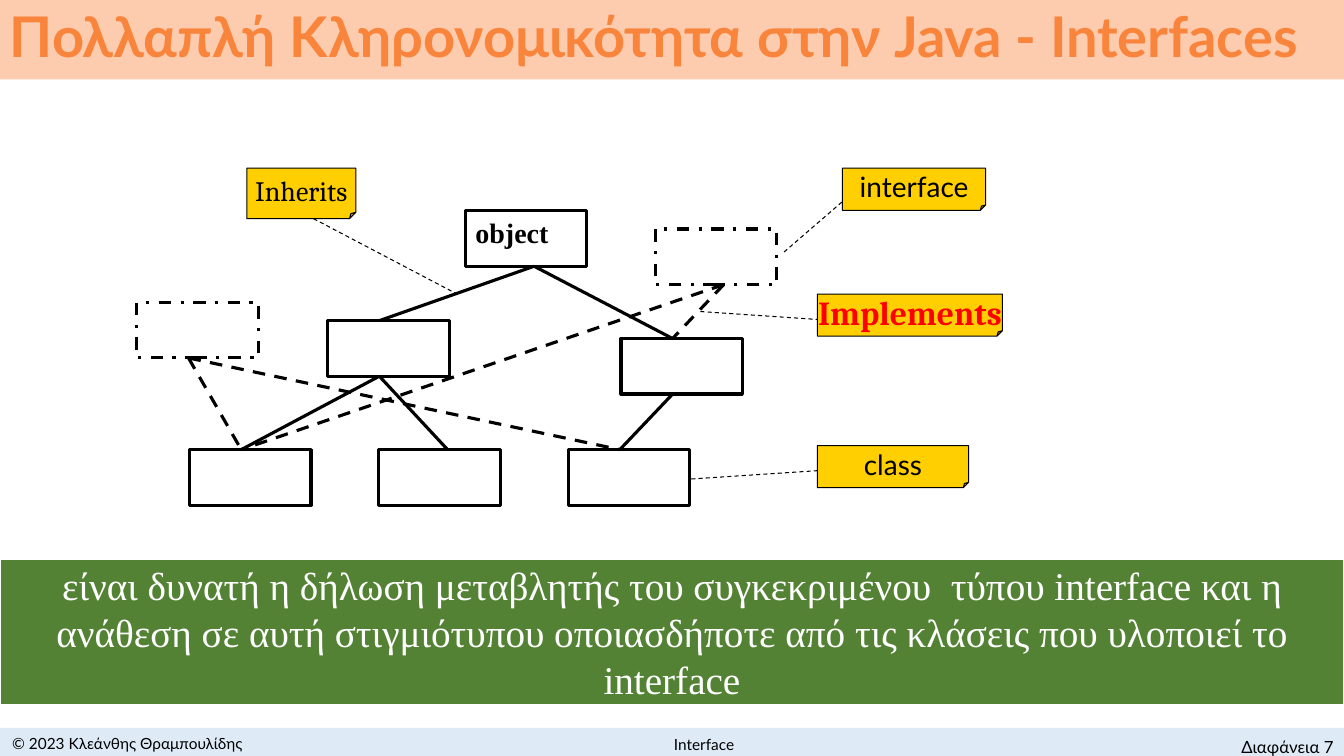
from lxml import etree
from pptx import Presentation, util as u
from pptx.dml.color import RGBColor
from pptx.enum import dml, shapes, text
from pptx.oxml.ns import qn

HUES = {"black": "000000", "white": "FFFFFF", "peach": "FDCBAD",
        "orange": "F9853D", "pale": "DEEBF7", "gold": "FFCF01",
        "red": "FF0000", "green": "548235"}
DASH = dml.MSO_LINE.DASH
DOTS = dml.MSO_LINE.DASH_DOT
RECT = shapes.MSO_SHAPE.RECTANGLE
NOTE = shapes.MSO_SHAPE.FOLDED_CORNER
LEFT, MID, RIGHT = (text.PP_ALIGN.LEFT, text.PP_ALIGN.CENTER,
                    text.PP_ALIGN.RIGHT)
BODY = {"name": "Lato", "size": u.Pt(20), "bold": False}

# Class tree: left, top and the offset where links meet the box, in cm
WIDE, HIGH = 3.06, 1.4
NEAR, FAR = 1.3, 1.73
ROW = 11.33
BOXES = {"object": (11.73, 5.31, FAR),
         "left": (8.26, 8.08, NEAR),
         "right": (15.65, 8.53, NEAR)}
LEAVES = ("leaf1", "leaf2", "leaf3")
PORTS = (NEAR, FAR, NEAR)
for step, (leaf, port) in enumerate(zip(LEAVES, PORTS)):
    BOXES[leaf] = (4.78 + 4.77 * step, ROW, port)
FACES = {"face1": (3.45, 7.62, NEAR), "face2": (16.51, 5.77, FAR)}
NODES = {**BOXES, **FACES}

# Parent above, child below
EXTENDS = [("object", "left"), ("object", "right"), ("left", "leaf2"),
           ("left", "leaf1"), ("right", "leaf3")]
FULFILS = [("face1", "leaf1"), ("face1", "leaf3"), ("face2", "leaf1"),
           ("face2", "right")]

# Label, place, font changes, hue, pointer ends
NOTES = [
    ("interface", (21.23, 4.24, 3.61, 1.06), {}, "black",
     (19.76, 6.35, 21.23, 5.08)),
    ("class", (20.6, 11.23, 3.81, 1.06), {}, "black",
     (17.42, 12.07, 20.6, 11.86)),
    ("Inherits", (6.22, 4.24, 2.75, 1.27), {"name": "Cambria"}, "black",
     (7.9, 5.51, 11.5, 7.4)),
    ("Implements", (20.6, 7.41, 4.66, 1.06),
     {"name": "Cambria", "size": u.Pt(24), "bold": True}, "red",
     (17.65, 7.85, 20.6, 8.05)),
]


def hue(name):
    return RGBColor.from_string(HUES[name])


def span(place):
    return [u.Cm(x) for x in place]


def ink(line, name, width, dash=None):
    line.color.rgb = hue(name)
    line.width = u.Pt(width)
    if dash:
        line.dash_style = dash


def block(home, place, fill, edge=None, kind=RECT):
    """Filled shape; edge is (hue, width, dash)."""
    shape = home.add_shape(kind, *span(place))
    shape.shadow.inherit = False
    shape.fill.solid()
    shape.fill.fore_color.rgb = hue(fill)
    if edge:
        ink(shape.line, *edge)
    else:
        shape.line.fill.background()
    return shape


def write(shape, words, font=None, tint="black", align=MID,
          anchor=text.MSO_ANCHOR.MIDDLE, wrap=True, lead=None):
    frame = shape.text_frame
    frame.word_wrap = wrap
    frame.vertical_anchor = anchor
    para = frame.paragraphs[0]
    para.alignment = align
    if lead:
        para.line_spacing = lead
    run = para.add_run()
    run.text = words
    for key, value in {**BODY, **(font or {})}.items():
        setattr(run.font, key, value)
    run.font.color.rgb = hue(tint)


def link(home, ends, width, dash=None):
    line = home.add_connector(shapes.MSO_CONNECTOR.STRAIGHT, *span(ends))
    ink(line.line, "black", width, dash)
    etree.SubElement(line._element.spPr, qn("a:effectLst"))


def tree(home):
    for name, (x, y, port) in NODES.items():
        dash = DOTS if name in FACES else None
        box = block(home, (x, y, WIDE, HIGH), "white", ("black", 2.25, dash))
        if name == "object":
            write(box, name, {"name": "Times New Roman", "bold": True},
                  align=LEFT, anchor=text.MSO_ANCHOR.TOP)
    for pairs, dash in ((EXTENDS, None), (FULFILS, DASH)):
        for above, below in pairs:
            x1, y1, port1 = NODES[above]
            x2, y2, port2 = NODES[below]
            link(home, (x1 + port1, y1 + HIGH, x2 + port2, y2), 2.25, dash)


def fold(card):
    """Set the size of the folded corner."""
    guides = card._element.spPr.find(qn("a:prstGeom")).get_or_add_avLst()
    for old in list(guides):
        guides.remove(old)
    etree.SubElement(guides, qn("a:gd"), name="adj", fmla="val 12500")


def notes(home):
    for words, place, font, tint, ends in NOTES:
        card = block(home, place, "gold", ("black", 0.75), NOTE)
        fold(card)
        write(card, words, font, tint, wrap=False)
        link(home, ends, 0.75, DASH)


def footer(home):
    block(home, (0, 18.34, 33.87, 0.71), "pale")
    small = {"size": u.Pt(11)}
    parts = [
        ("© 2023 Κλεάνθης Θραμπουλίδης", (0, 18.34, 6.43, 0.76), small, MID),
        ("Interface", (9.25, 18.39, 16.99, 0.76), small, MID),
        ("Διαφάνεια 7", (28.63, 18.44, 5.23, 0.77), {"size": u.Pt(12)}, RIGHT),
    ]
    for words, place, font, align in parts:
        write(home.add_textbox(*span(place)), words, font, align=align)


def main():
    deck = Presentation()
    deck.slide_width, deck.slide_height = span((33.87, 19.05))
    home = deck.slides.add_slide(deck.slide_layouts[6]).shapes

    # Title band and footer
    footer(home)
    title = block(home, (0, 0, 33.87, 2), "peach")
    write(title, "Πολλαπλή Κληρονομικότητα στην Java - Interfaces",
          {"size": u.Pt(40), "bold": True}, "orange", LEFT, lead=0.9)

    # Diagram with its notes
    tree(home.add_group_shape().shapes)
    notes(home)

    # Closing statement
    band = block(home, (0, 14.1, 33.87, 3.66), "green", ("white", 1))
    write(band, "είναι δυνατή η δήλωση μεταβλητής του συγκεκριμένου  τύπου "
          "interface και η ανάθεση σε αυτή στιγμιότυπου οποιασδήποτε από τις "
          "κλάσεις που υλοποιεί το interface",
          {"name": "Times New Roman", "size": u.Pt(28)}, "white")
    deck.save("out.pptx")


if __name__ == "__main__":
    main()
